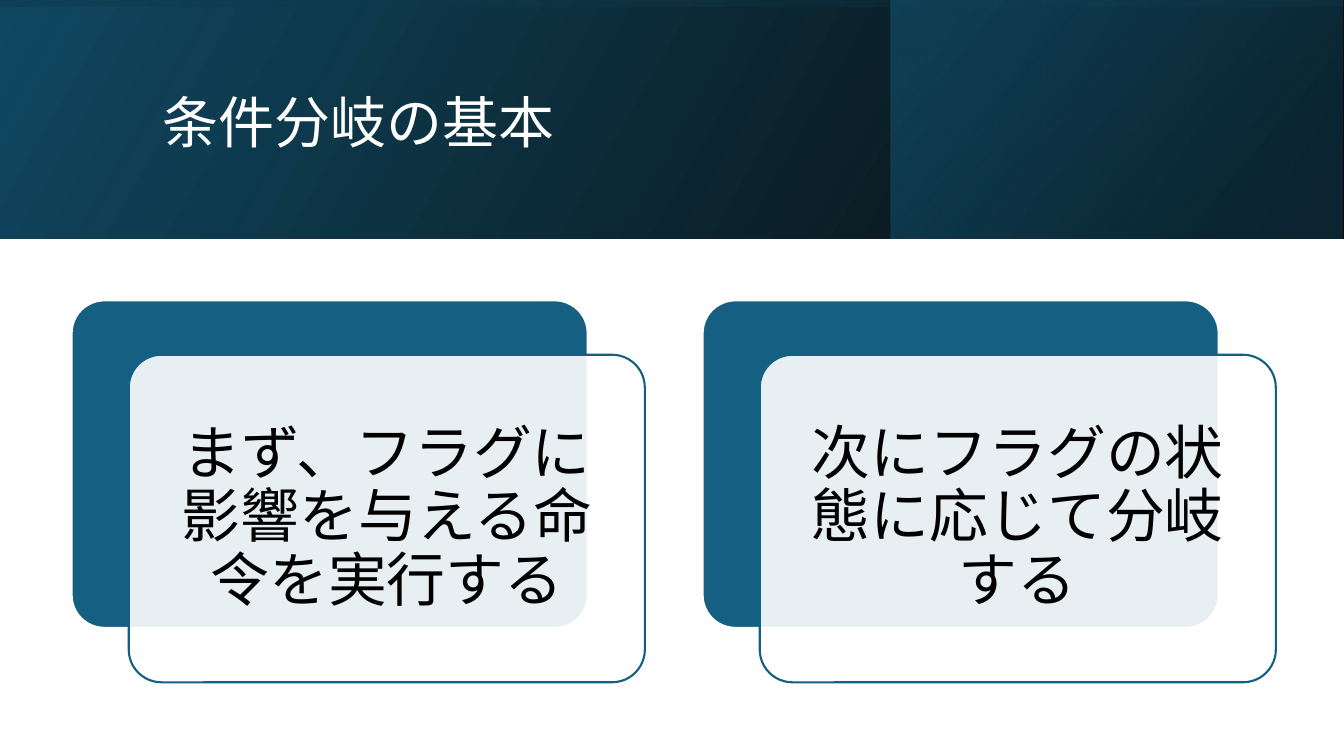
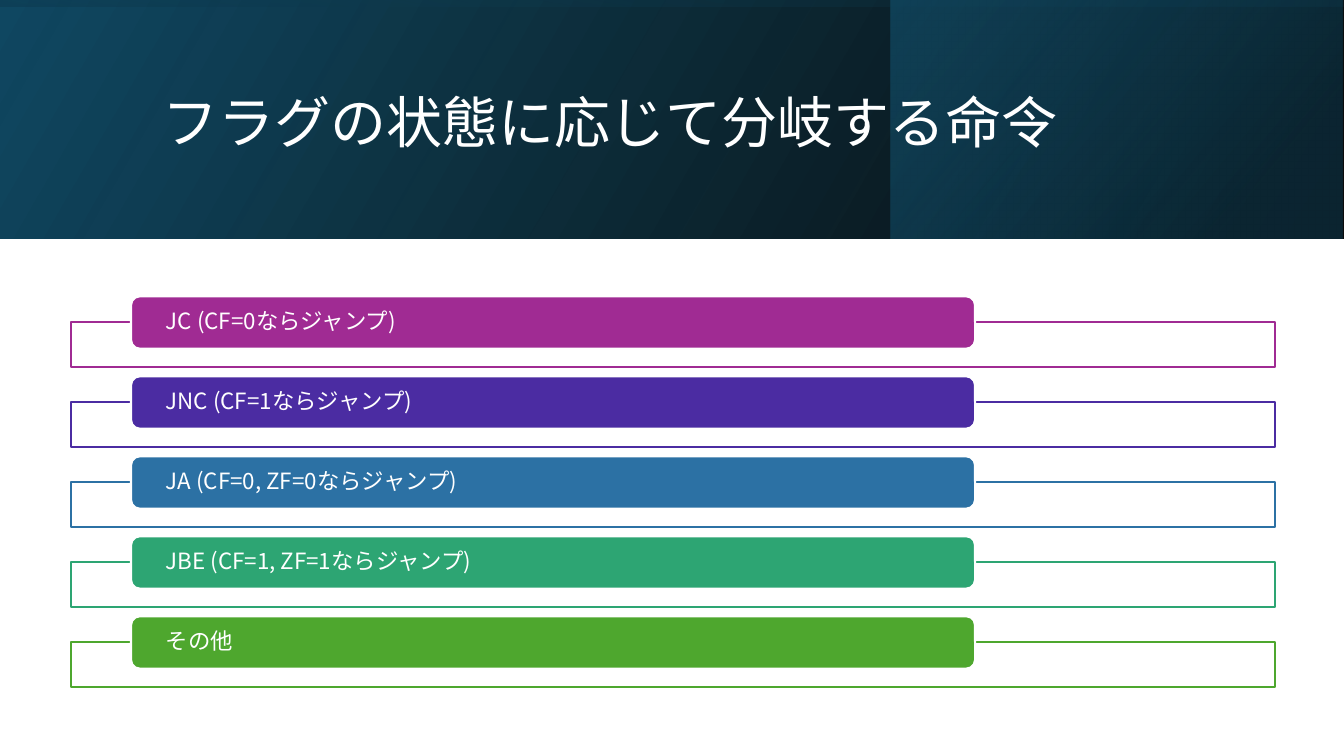
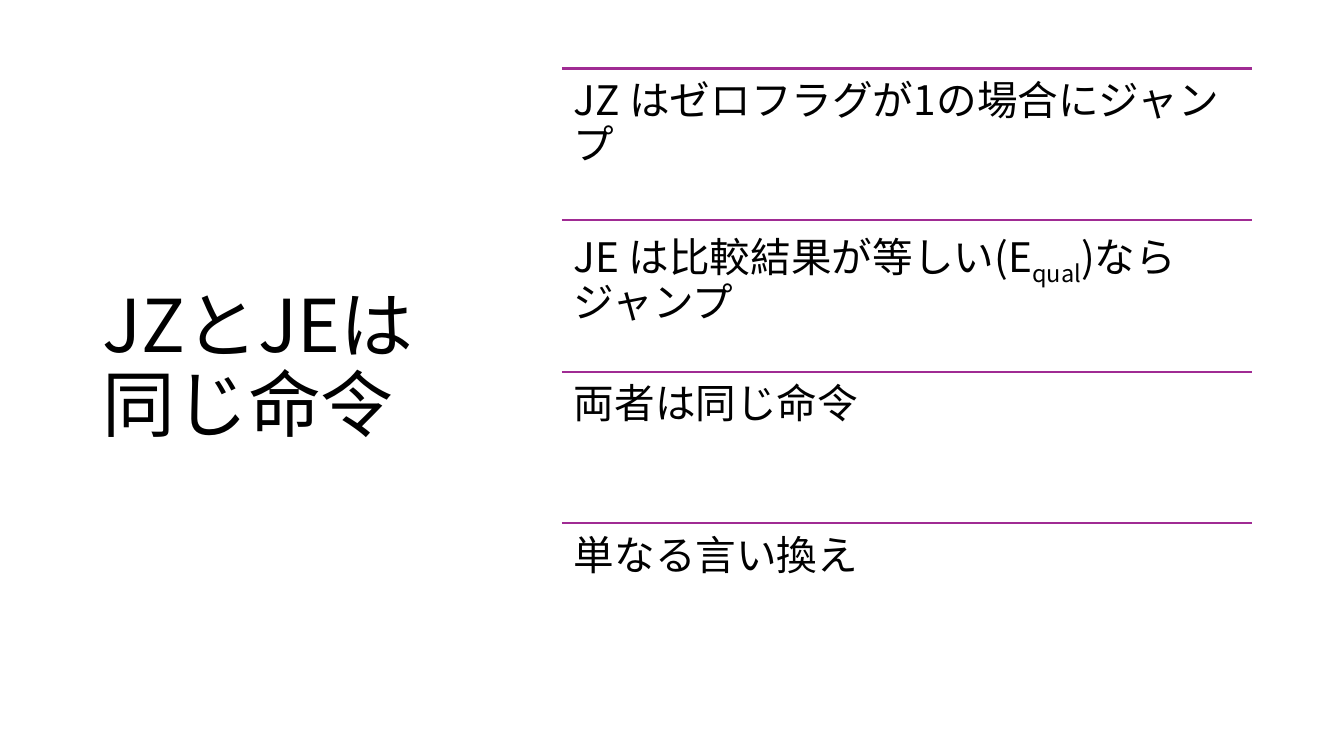
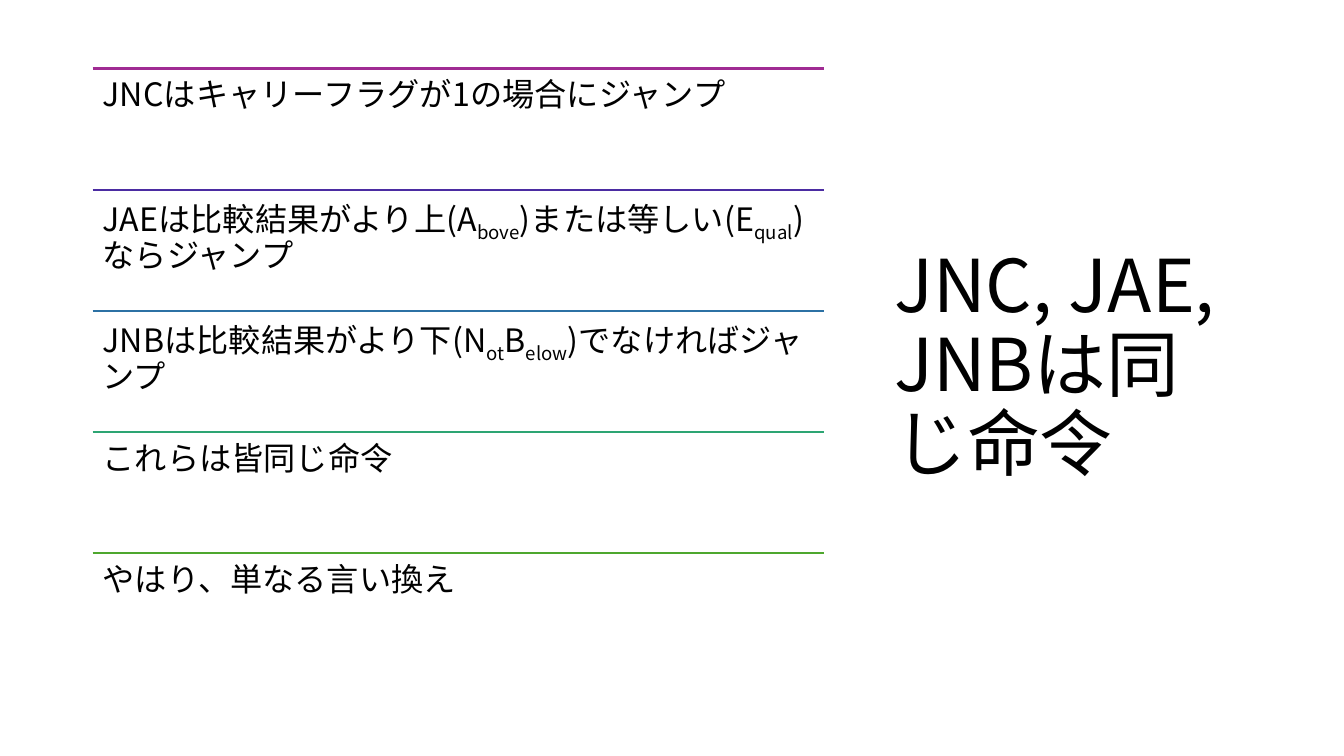
from lxml.etree import SubElement
from pptx import Presentation
from pptx.dml.color import RGBColor
from pptx.enum.shapes import MSO_CONNECTOR, MSO_SHAPE
from pptx.enum.text import MSO_ANCHOR, MSO_AUTO_SIZE, PP_ALIGN
from pptx.oxml.ns import qn
from pptx.util import Inches, Pt

WIDE, HIGH = Inches(13.33), Inches(7.5)
FONT = "Noto Sans CJK JP"
HEX = {
    "white": "FFFFFF", "black": "000000", "navy": "104862", "deep": "0B3041",
    "blue": "156082", "plum": "A02B93", "violet": "4B2CA2", "azure": "2C71A4",
    "jade": "2DA573", "green": "4EA72E",
}
HUES = ["plum", "violet", "azure", "jade", "green"]
BAND = 31.6


def rgb(name):
    return RGBColor.from_string(HEX[name])


def place(x, y, w, h):
    return [round(WIDE * x / 100), round(HIGH * y / 100),
            round(WIDE * w / 100), round(HIGH * h / 100)]


def fade(color, share):
    SubElement(color, qn("a:alpha")).set("val", str(share * 1000))


def write(frame, text, size=16, color="black", align=PP_ALIGN.LEFT,
          anchor=MSO_ANCHOR.TOP, side=0.1, top=0.05):
    frame.word_wrap = True
    frame.auto_size = MSO_AUTO_SIZE.NONE
    frame.vertical_anchor = anchor
    frame.margin_left = frame.margin_right = Inches(side)
    frame.margin_top = frame.margin_bottom = Inches(top)
    para = frame.paragraphs[0]
    para.alignment = align
    para.line_spacing = 0.9
    for i, part in enumerate(text.split("|")):
        run = para.add_run()
        run.text = part
        run.font.size = Pt(size)
        run.font.name = FONT
        run.font.color.rgb = rgb(color)
        props = run.font._element
        SubElement(props, qn("a:ea")).set("typeface", FONT)
        if i % 2:
            props.set("baseline", "-25000")


def block(slide, kind, spot, fill, line, alpha=100, adj=None):
    shape = slide.shapes.add_shape(kind, *spot)
    shape.shadow.inherit = False
    shape.fill.solid()
    shape.fill.fore_color.rgb = rgb(fill)
    if alpha < 100:
        fade(next(shape._element.spPr.iter(qn("a:srgbClr"))), alpha)
    shape.line.color.rgb = rgb(line)
    shape.line.width = Pt(1.5)
    if adj:
        shape.adjustments[0] = adj
    return shape


def band(slide, x, w, angle, stops, turn=0):
    left, top, width, height = place(x, 0, w, BAND)
    if turn:
        left, top = left + (width - height) // 2, top + (height - width) // 2
        width, height = height, width
    shape = slide.shapes.add_shape(MSO_SHAPE.RECTANGLE, left, top, width, height)
    shape.rotation = turn
    shape.shadow.inherit = False
    shape.line.fill.background()
    shape.fill.gradient()
    shape.fill.gradient_angle = angle
    props = shape._element.spPr
    props.xfrm.set("flipH", "1")
    for stop, (spot, color, _) in zip(shape.fill.gradient_stops, stops):
        stop.position = spot / 100
        stop.color.rgb = rgb(color)
    for color, (_, _, alpha) in zip(props.iter(qn("a:srgbClr")), stops):
        fade(color, alpha)


def page(deck, title, spot, size, color="black", banded=False):
    slide = deck.slides.add_slide(deck.slide_layouts[5])
    if banded:
        band(slide, 0, 100, 30, [(0, "black", 96), (100, "navy", 100)])
        band(slide, 66.3, 33.6, 40, [(19, "deep", 68), (100, "blue", 48)])
        band(slide, 0, 100, 10, [(23, "navy", 16), (99, "black", 45)], turn=270)
    head = slide.shapes.title
    head.left, head.top, head.width, head.height = place(*spot)
    write(head.text_frame, title, size=size, color=color, anchor=MSO_ANCHOR.MIDDLE)
    slide.shapes._spTree.append(head._element)
    return slide


def top_page(deck, title):
    return page(deck, title, (11.33, 5.07, 79.75, 22.93), 40, "white", True)


def cards(slide, texts):
    for i, text in enumerate(texts):
        x, y, w, h = 5.33 + i * 46.95, 39.73, 38.4, 43.33
        block(slide, MSO_SHAPE.ROUNDED_RECTANGLE, place(x, y, w, h),
              "blue", "white", adj=0.1)
        front = block(slide, MSO_SHAPE.ROUNDED_RECTANGLE,
                      place(x + 4.25, y + 7.2, w, h), "white", "blue", 90, 0.1)
        write(front.text_frame, text, size=42, align=PP_ALIGN.CENTER,
              anchor=MSO_ANCHOR.MIDDLE, side=0.17, top=0.17)


def bars(slide, texts):
    for i, (text, hue) in enumerate(zip(texts, HUES)):
        y = 39.2 + i * 10.58
        block(slide, MSO_SHAPE.RECTANGLE, place(5.25, y + 3.45, 89.6, 5.87),
              "white", hue, 90)
        bar = block(slide, MSO_SHAPE.ROUNDED_RECTANGLE,
                    place(9.75, y, 62.8, 6.93), hue, "white")
        write(bar.text_frame, text, color="white", anchor=MSO_ANCHOR.MIDDLE,
              side=0.32, top=0)


def rule(slide, x, y, w, hue):
    left, top, width, _ = place(x, y, w, 0)
    line = slide.shapes.add_connector(MSO_CONNECTOR.STRAIGHT,
                                      left, top, left + width, top)
    line.line.color.rgb = rgb(hue)
    line.line.width = Pt(1.5)
    SubElement(line._element.spPr, qn("a:effectLst"))


def rows(slide, texts, x, w, size, inset, hues):
    step = 80.16 / len(texts)
    for i, (text, hue) in enumerate(zip(texts, hues)):
        y = 9.07 + i * step
        rule(slide, x, y, w, hue)
        area = slide.shapes.add_textbox(*place(x, y, w, step))
        write(area.text_frame, text, size=size, side=inset, top=inset)


def main():
    deck = Presentation()
    deck.slide_width, deck.slide_height = WIDE, HIGH

    cards(top_page(deck, "条件分岐の基本"), [
        "まず、フラグに影響を与える命令を実行する",
        "次にフラグの状態に応じて分岐する",
    ])
    bars(top_page(deck, "フラグの状態に応じて分岐する命令"), [
        "JC (CF=0ならジャンプ)",
        "JNC (CF=1ならジャンプ)",
        "JA (CF=0, ZF=0ならジャンプ)",
        "JBE (CF=1, ZF=1ならジャンプ)",
        "その他",
    ])
    same = page(deck, "JZとJEは同じ命令", (6.9, 8.13, 27.7, 81.2), 52)
    rows(same, [
        "JZ はゼロフラグが1の場合にジャンプ",
        "JE は比較結果が等しい(E|qual|)ならジャンプ",
        "両者は同じ命令",
        "単なる言い換え",
    ], 41.8, 51.35, 29, 0.12, ["plum"] * 4)
    carry = page(deck, "JNC, JAE, JNBは同じ命令", (65.8, 8, 27.4, 81.33), 52)
    rows(carry, [
        "JNCはキャリーフラグが1の場合にジャンプ",
        "JAEは比較結果がより上(A|bove|)または等しい(E|qual|)ならジャンプ",
        "JNBは比較結果がより下(N|ot|B|elow|)でなければジャンプ",
        "これらは皆同じ命令",
        "やはり、単なる言い換え",
    ], 6.9, 54.4, 23, 0.1, HUES)

    deck.save("out.pptx")


if __name__ == "__main__":
    main()
